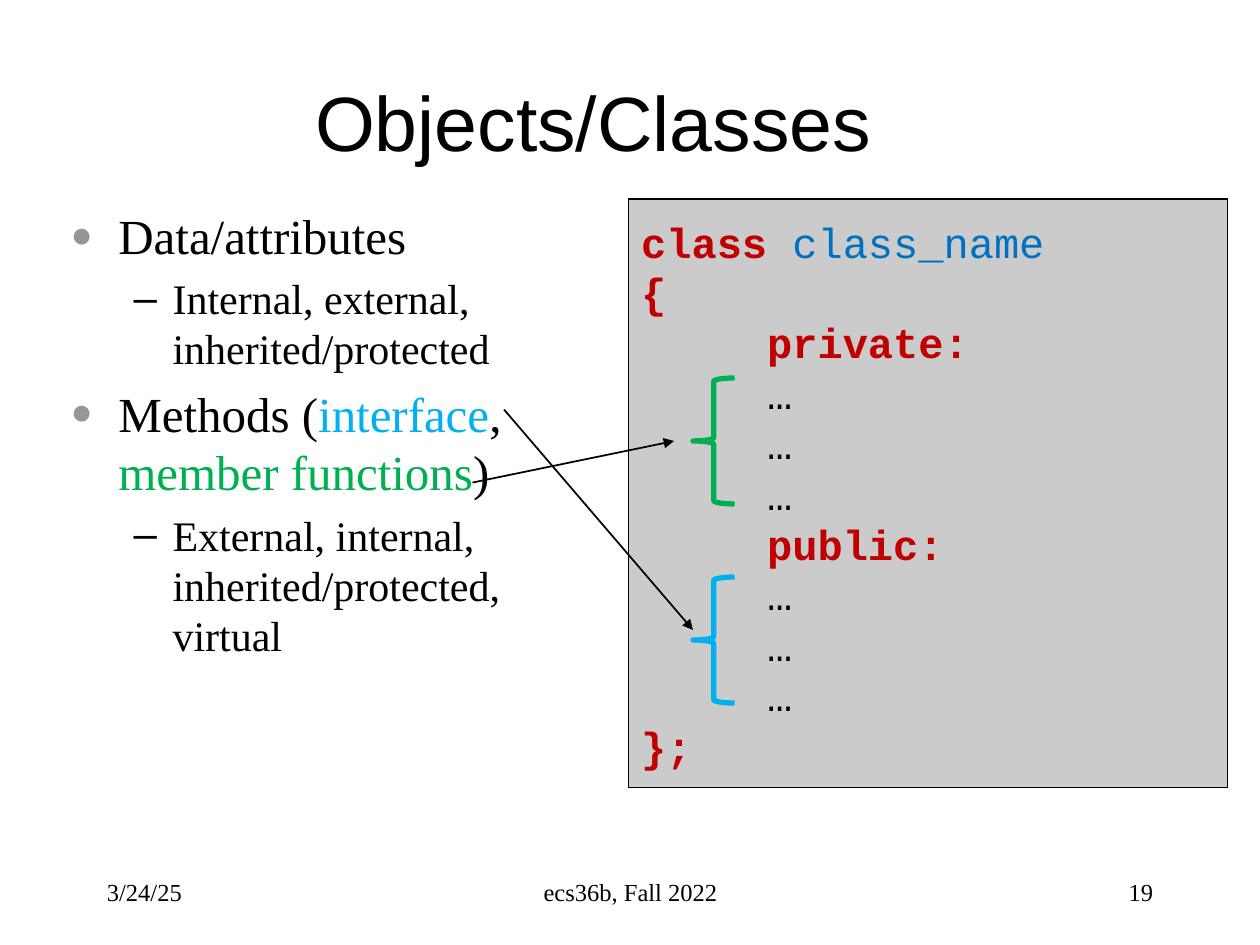
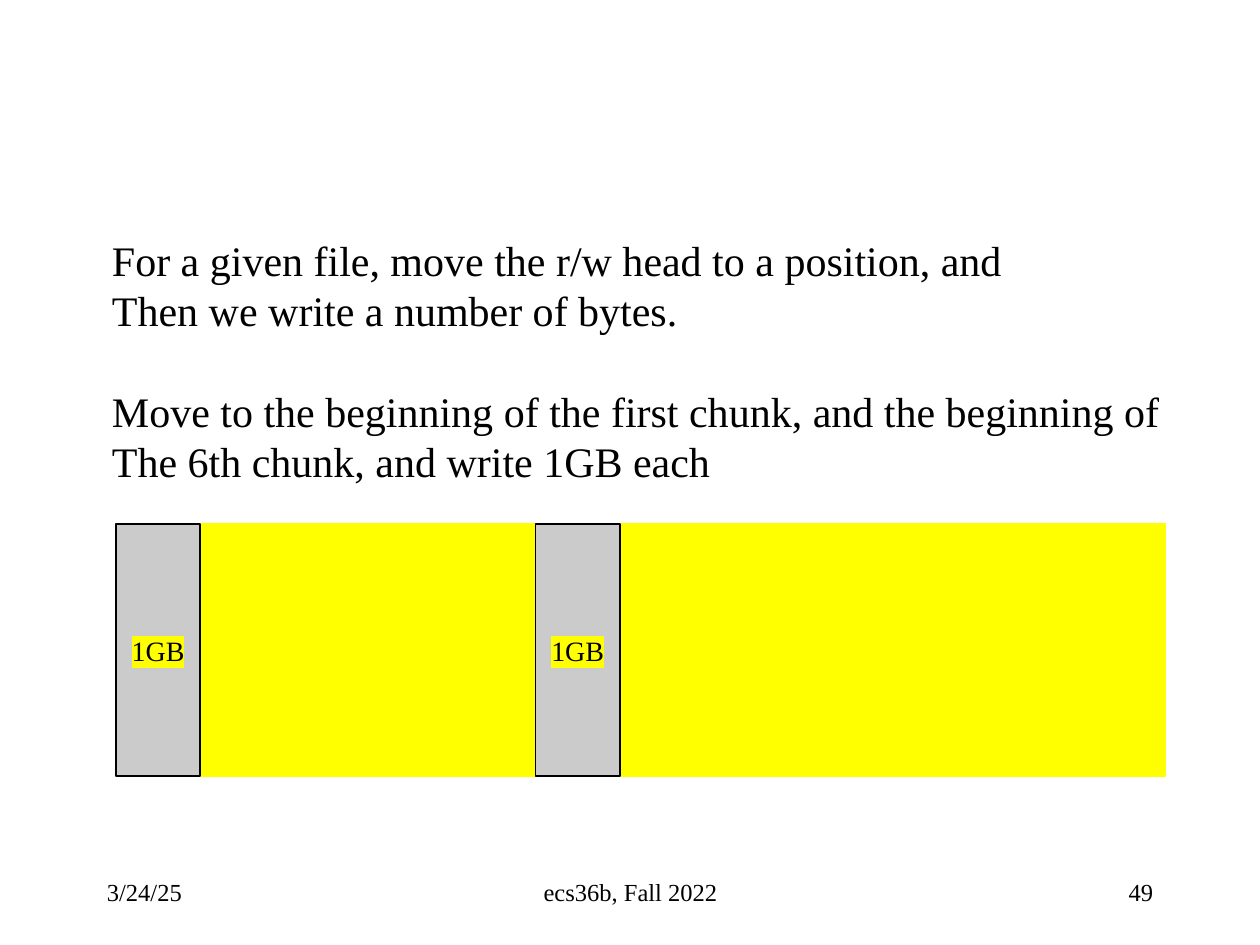
from lxml import etree
from pptx import Presentation
from pptx.dml.color import RGBColor
from pptx.enum import shapes, text
from pptx.oxml import ns
from pptx.util import Inches, Pt

SERIF, SANS, MONO = "Times New Roman", "Arial", "Courier New"
BLACK, GRAY, BULLET_GRAY = "000000", "CBCBCB", "969696"
RED, NAME_BLUE, SKY, GREEN, YELLOW = "C00000", "0070C0", "00B0F0", "00B050", "FFFF00"
LINE_PITCH = 1.2
LEFT, CENTER, RIGHT = text.PP_ALIGN.LEFT, text.PP_ALIGN.CENTER, text.PP_ALIGN.RIGHT
color = RGBColor.from_string


def set_type(paragraph, size, font=SERIF, align=LEFT):
    """Give a paragraph its alignment, line pitch and black base font."""
    paragraph.alignment = align
    paragraph.line_spacing = Pt(round(size * LINE_PITCH, 1))
    paragraph.font.size = Pt(size)
    paragraph.font.name = font
    paragraph.font.color.rgb = color(BLACK)


def add_shape(slide, kind, box, fill, line, line_width=1):
    shape = slide.shapes.add_shape(kind, *map(Inches, box))
    shape.shadow.inherit = False
    shape.fill.solid()
    shape.fill.fore_color.rgb = color(fill)
    shape.line.color.rgb = color(line)
    shape.line.width = Pt(line_width)
    return shape


presentation = Presentation()
presentation.slide_width, presentation.slide_height = Inches(10), Inches(7.5)
class_slide = presentation.slides.add_slide(presentation.slide_layouts[1])
chunk_slide = presentation.slides.add_slide(presentation.slide_layouts[6])

# Footers
for slide, number in ((class_slide, "19"), (chunk_slide, "49")):
    for left, width, words, align in (
        (0.75, 2.08, "3/24/25", LEFT),
        (3.42, 3.17, "ecs36b, Fall 2022", CENTER),
        (7.17, 2.08, number, RIGHT),
    ):
        footer = slide.shapes.add_textbox(Inches(left), Inches(6.83), Inches(width), Inches(0.5))
        footer.text_frame.word_wrap = True
        footer.text_frame.vertical_anchor = text.MSO_ANCHOR.MIDDLE
        footer.text_frame.text = words
        set_type(footer.text_frame.paragraphs[0], 14, align=align)

# Objects and classes: title and list
title, body = class_slide.shapes.title, class_slide.placeholders[1]
for placeholder, box in ((title, (1.25, 0.33, 6.92, 1.25)), (body, (0.46, 1.58, 4.38, 4.5))):
    placeholder.left, placeholder.top, placeholder.width, placeholder.height = map(Inches, box)
    placeholder.text_frame.auto_size = text.MSO_AUTO_SIZE.NONE
title.text_frame.text = "Objects/Classes"
title.text_frame.vertical_anchor = text.MSO_ANCHOR.MIDDLE
set_type(title.text_frame.paragraphs[0], 44, SANS, CENTER)

# Per level: font size, left margin, hanging indent, bullet, its font, colour and size
levels = (
    (28, 0.38, 0.38, "●", SERIF, BULLET_GRAY, 75),
    (24, 0.81, 0.31, "–", SANS, BLACK, 100),
)
topics = (
    (0, [("Data/attributes", None)]),
    (1, [("Internal, external, inherited/protected", None)]),
    (0, [("Methods (", None), ("interface", SKY), (", ", None),
         ("member functions", GREEN), (")", None)]),
    (1, [("External, internal, inherited/protected, virtual", None)]),
)
for index, (level, pieces) in enumerate(topics):
    size, margin, hanging, bullet, bullet_font, bullet_color, bullet_size = levels[level]
    paragraph = body.text_frame.paragraphs[0] if index == 0 else body.text_frame.add_paragraph()
    paragraph.level = level
    properties = paragraph._p.get_or_add_pPr()
    properties.set("marL", str(Inches(margin)))
    properties.set("indent", str(-Inches(hanging)))
    bullet_fill = etree.SubElement(properties, ns.qn("a:buClr"))
    etree.SubElement(bullet_fill, ns.qn("a:srgbClr"), val=bullet_color)
    etree.SubElement(properties, ns.qn("a:buSzPct"), val=str(bullet_size * 1000))
    etree.SubElement(properties, ns.qn("a:buFont"), typeface=bullet_font)
    etree.SubElement(properties, ns.qn("a:buChar"), char=bullet)
    set_type(paragraph, size)
    paragraph.space_before = Pt(size * 0.2 if index else 0)
    for words, tint in pieces:
        run = paragraph.add_run()
        run.text = words
        if tint:
            run.font.color.rgb = color(tint)

# Class skeleton
code_box = add_shape(class_slide, shapes.MSO_SHAPE.RECTANGLE, (4.99, 1.58, 4.75, 4.67),
                     GRAY, BLACK, 0.75)
code_box.text_frame.word_wrap = True
code_box.text_frame.vertical_anchor = text.MSO_ANCHOR.MIDDLE
members = [[("\t…", BLACK)]] * 3
code_lines = [
    [("class ", RED), ("class_name", NAME_BLUE)],
    [("{", RED)],
    [("     ", BLACK), ("private:", RED)],
    *members,
    [("     ", BLACK), ("public:", RED)],
    *members,
    [("};", RED)],
]
for index, pieces in enumerate(code_lines):
    frame = code_box.text_frame
    paragraph = frame.paragraphs[0] if index == 0 else frame.add_paragraph()
    # The tab stop lines members up with the five-space indent of the labels
    tabs = etree.SubElement(paragraph._p.get_or_add_pPr(), ns.qn("a:tabLst"))
    etree.SubElement(tabs, ns.qn("a:tab"), pos=str(Inches(1)), algn="l")
    set_type(paragraph, 24, MONO)
    for words, tint in pieces:
        run = paragraph.add_run()
        run.text = words
        run.font.color.rgb = color(tint)
        run.font.bold = tint == RED

# Braces, and arrows from the list to them
for top, tint in ((3, GREEN), (4.58, SKY)):
    brace = add_shape(class_slide, shapes.MSO_SHAPE.LEFT_BRACE, (5.5, top, 0.33, 1), GRAY, tint, 3)
    brace.adjustments[0] = 0.08
for ends in ((4, 3.25, 5.5, 5), (3.75, 3.83, 5.35, 3.5)):
    arrow = class_slide.shapes.add_connector(shapes.MSO_CONNECTOR.STRAIGHT, *map(Inches, ends))
    arrow.line.color.rgb = color(BLACK)
    arrow.line.width = Pt(1)
    etree.SubElement(arrow.line._get_or_add_ln(), ns.qn("a:tailEnd"), type="triangle")
    etree.SubElement(arrow._element.spPr, ns.qn("a:effectLst"))

# File with two written chunks
file_left, file_top, file_height = 0.92, 4.16, 2
chunk_width = 0.67
add_shape(chunk_slide, shapes.MSO_SHAPE.RECTANGLE,
          (file_left, file_top, 8.33, file_height), YELLOW, YELLOW)
for left in (file_left, file_left + 3.33):
    chunk = add_shape(chunk_slide, shapes.MSO_SHAPE.RECTANGLE,
                      (left, file_top, chunk_width, file_height), GRAY, BLACK)
    chunk.text_frame.vertical_anchor = text.MSO_ANCHOR.MIDDLE
    chunk.text_frame.text = "1GB"
    paragraph = chunk.text_frame.paragraphs[0]
    set_type(paragraph, 16, align=CENTER)
    run_properties = paragraph.runs[0]._r.get_or_add_rPr()
    highlight = etree.SubElement(run_properties, ns.qn("a:highlight"))
    etree.SubElement(highlight, ns.qn("a:srgbClr"), val=YELLOW)

task = chunk_slide.shapes.add_textbox(Inches(0.79), Inches(1.81), Inches(8.59), Inches(2.12))
task.text_frame.word_wrap = True
task.text_frame.text = "\n".join((
    "For a given file, move the r/w head to a position, and",
    "Then we write a number of bytes.",
    "Move to the beginning of the first chunk, and the beginning of",
    "The 6th chunk, and write 1GB each",
))
for paragraph in task.text_frame.paragraphs:
    set_type(paragraph, 24)
task.text_frame.paragraphs[2].space_before = Pt(24 * LINE_PITCH)

presentation.save("out.pptx")
